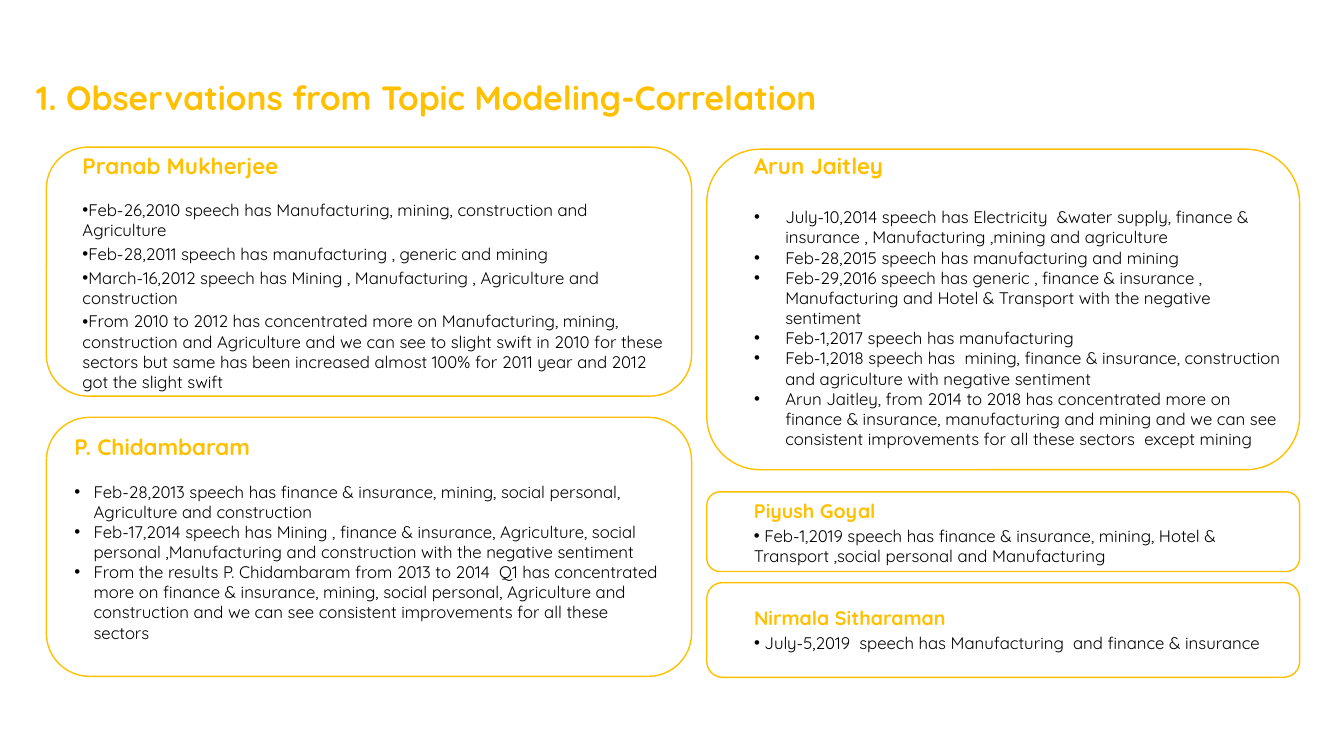
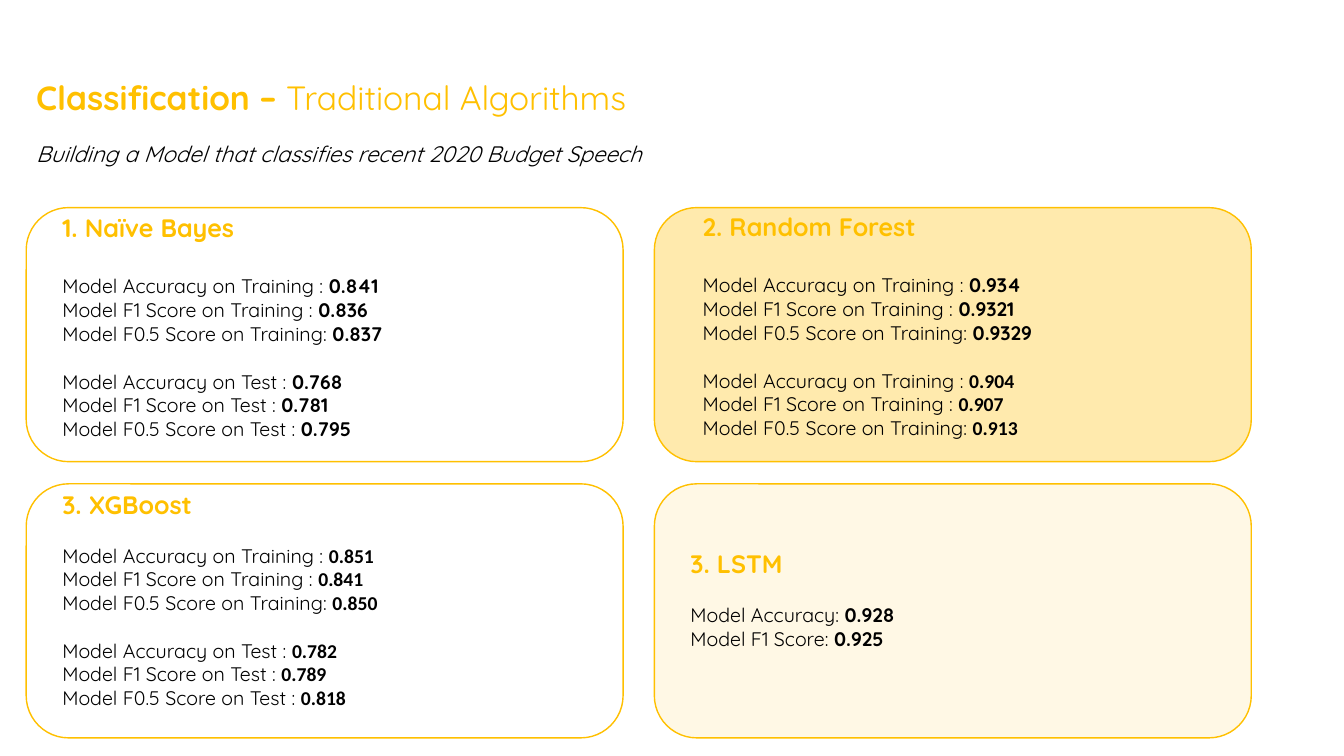
from lxml import etree
from pptx import Presentation
from pptx.dml.color import RGBColor
from pptx.enum.shapes import MSO_SHAPE
from pptx.oxml.ns import qn
from pptx.util import Inches, Pt

ROUNDED = MSO_SHAPE.ROUNDED_RECTANGLE
GOLD = "FFC000"
BLACK = "000000"
MAIN_FONT = "Quicksand"
VALUE_FONT = "Calibri"
LINE_HEIGHT = 1.25

SPEAKERS = [
    dict(
        panel=(0.46, 1.46, 6.4, 2.47), text=(0.72, 1.46, 6.04, 2.47),
        name="Pranab Mukherjee", size=16, gap=15, spacing=2.5, indent=0,
        points=[
            "Feb-26,2010 speech has Manufacturing, mining, construction and Agriculture",
            "Feb-28,2011 speech has manufacturing , generic and mining",
            "March-16,2012 speech has Mining , Manufacturing , Agriculture and construction",
            "From 2010 to 2012 has concentrated more on Manufacturing, mining, construction and "
            "Agriculture and we can see to slight swift in 2010 for these sectors but same has "
            "been increased almost 100% for 2011 year and 2012 got the slight swift",
        ],
    ),
    dict(
        panel=(0.46, 4.14, 6.4, 2.57), text=(0.64, 4.25, 6.04, 2.39),
        name="P. Chidambaram", size=16, gap=15, spacing=0, indent=0.19,
        points=[
            "Feb-28,2013 speech has finance & insurance, mining, social personal, "
            "Agriculture and construction",
            "Feb-17,2014 speech has Mining , finance & insurance, Agriculture, social personal "
            ",Manufacturing and construction with the negative sentiment",
            "From the results P. Chidambaram from 2013 to 2014  Q1 has concentrated more on "
            "finance & insurance, mining, social personal, Agriculture and construction and we "
            "can see consistent improvements for all these sectors",
        ],
    ),
    dict(
        panel=(7.01, 1.48, 5.88, 3.18), text=(7.38, 1.46, 5.51, 3.26),
        name="Arun Jaitley", size=16, gap=20, spacing=0, indent=0.31,
        points=[
            "July-10,2014 speech has Electricity  &water supply, finance & insurance , "
            "Manufacturing ,mining and agriculture",
            "Feb-28,2015 speech has manufacturing and mining",
            "Feb-29,2016 speech has generic , finance & insurance , Manufacturing and Hotel & "
            "Transport with the negative sentiment",
            "Feb-1,2017 speech has manufacturing",
            "Feb-1,2018 speech has  mining, finance & insurance, construction and agriculture "
            "with negative sentiment",
            "Arun Jaitley, from 2014 to 2018 has concentrated more on finance & insurance, "
            "manufacturing and mining and we can see consistent improvements for all these "
            "sectors  except mining",
        ],
    ),
    dict(
        panel=(7.01, 4.88, 5.88, 0.79), text=(7.38, 4.9, 5.36, 0.77),
        name="Piyush Goyal", size=14, gap=0, spacing=2.5, indent=0,
        points=[
            " Feb-1,2019 speech has finance & insurance, mining, Hotel & Transport "
            ",social personal and Manufacturing",
        ],
    ),
    dict(
        panel=(7.01, 5.78, 5.88, 0.94), text=(7.38, 5.96, 5.65, 0.87),
        name="Nirmala Sitharaman", size=14, gap=0, spacing=2.5, indent=0,
        points=[" July-5,2019  speech has Manufacturing  and finance & insurance"],
    ),
]

TRAINING = [
    "Model Accuracy on Training : ",
    "Model F1 Score on Training : ",
    "Model F0.5 Score on Training: ",
]
TEST = [
    "Model Accuracy on Test : ",
    "Model F1 Score on Test : ",
    "Model F0.5 Score on Test : ",
]
OVERALL = ["Model Accuracy: ", "Model F1 Score: "]

MODELS = [
    dict(name="1. Naïve Bayes", text=(0.52, 2.06, 5.66, 2.52), gap_size=18, opacity=0, groups=[
        (TRAINING, ["0.841", "0.836", "0.837"], MAIN_FONT),
        (TEST, ["0.768", "0.781", "0.795"], MAIN_FONT),
    ]),
    dict(name="2. Random Forest", text=(6.87, 2.05, 5.69, 2.52), gap_size=18, opacity=32, groups=[
        (TRAINING, ["0.934", "0.9321", "0.9329"], MAIN_FONT),
        (TRAINING, ["0.904", "0.907", "0.913"], VALUE_FONT),
    ]),
    dict(name="3. XGBoost", text=(0.52, 4.8, 5.66, 2.52), gap_size=14, opacity=0, groups=[
        (TRAINING, ["0.851", "0.841", "0.850"], VALUE_FONT),
        (TEST, ["0.782", "0.789", "0.818"], VALUE_FONT),
    ]),
    dict(name="3. LSTM", text=(6.75, 5.39, 5.66, 1.35), gap_size=14, opacity=10, groups=[
        (OVERALL, ["0.928", "0.925"], MAIN_FONT),
    ]),
]


def color(value):
    return RGBColor.from_string(value)


class Deck:
    """Holds the shared style and the page being built."""

    def __init__(self):
        self.deck = Presentation()
        self.deck.slide_width = Inches(13.33)
        self.deck.slide_height = Inches(7.5)
        self.page = None

    def new_page(self):
        self.page = self.deck.slides.add_slide(self.deck.slide_layouts[6])

    def panel(self, place, opacity=0):
        shape = self.page.shapes.add_shape(ROUNDED, *map(Inches, place))
        shape.shadow.inherit = False
        shape.line.color.rgb = color(GOLD)
        shape.line.width = Pt(1)
        if not opacity:
            shape.fill.background()
            return
        shape.fill.solid()
        shape.fill.fore_color.rgb = color(GOLD)
        tint = shape.fill._xPr.find(qn("a:solidFill"))[0]
        etree.SubElement(tint, qn("a:alpha"), val=str(opacity * 1000))

    def text_box(self, place):
        box = self.page.shapes.add_textbox(*map(Inches, place))
        box.text_frame.word_wrap = True
        return box.text_frame

    def para(self, frame, spans, size, tone=BLACK, bold=False, italic=False, before=0, indent=None):
        first = frame.paragraphs[0]
        para = frame.add_paragraph() if first.runs else first
        if indent is not None:
            self.bullet(para, indent)
        if before:
            para.space_before = Pt(before)
        font = para.font
        font.name, font.size, font.bold, font.italic = MAIN_FONT, Pt(size), bold, italic
        font.color.rgb = color(tone)
        for text in spans:
            para.add_run().text = text
        return para

    def bullet(self, para, indent):
        properties = para._p.get_or_add_pPr()
        properties.set("marL", str(Inches(indent)))
        properties.set("indent", str(-Inches(indent)))
        etree.SubElement(properties, qn("a:buFont"), typeface="Arial")
        etree.SubElement(properties, qn("a:buChar"), char="•")

    def title(self, strong, light=None):
        frame = self.text_box((0.26, 0.51, 10.17, 0.71))
        spans = [strong, light] if light else [strong]
        para = self.para(frame, spans, 24, GOLD, bold=True)
        para.line_spacing = 1.5
        if light:
            para.runs[1].font.bold = False

    def subtitle(self, text):
        self.para(self.text_box((0.26, 1.34, 12.88, 0.37)), [text], 16, italic=True)

    def speaker(self, name, panel, text, size, gap, spacing, indent, points):
        self.panel(panel)
        frame = self.text_box(text)
        self.para(frame, [name], size, GOLD, bold=True).space_after = Pt(gap)
        for number, point in enumerate(points):
            before = spacing if number or not gap else 0
            self.para(frame, [point], 12, before=before, indent=indent)

    def model(self, place, name, text, gap_size, opacity, groups):
        self.panel(place, opacity)
        frame = self.text_box(text)
        heading = self.para(frame, [name], 18, GOLD, bold=True)
        heading.space_after = Pt(gap_size * LINE_HEIGHT)
        for group_number, (labels, values, value_font) in enumerate(groups):
            for row, spans in enumerate(zip(labels, values)):
                before = 14 * LINE_HEIGHT if group_number and not row else 0
                value = self.para(frame, spans, 14, before=before).runs[1]
                value.font.bold = True
                value.font.name = value_font

    def save(self):
        self.deck.save("out.pptx")


def main():
    deck = Deck()

    deck.new_page()
    deck.title("1. Observations from Topic Modeling-Correlation")
    for speaker in SPEAKERS:
        deck.speaker(**speaker)

    deck.new_page()
    deck.title("Classification – ", "Traditional Algorithms")
    deck.subtitle("Building a Model that classifies recent 2020 Budget Speech")
    for number, model in enumerate(MODELS):
        row, column = divmod(number, 2)
        deck.model((0.26 + 6.23 * column, 2.06 + 2.74 * row, 5.92, 2.52), **model)

    deck.save()


if __name__ == "__main__":
    main()
